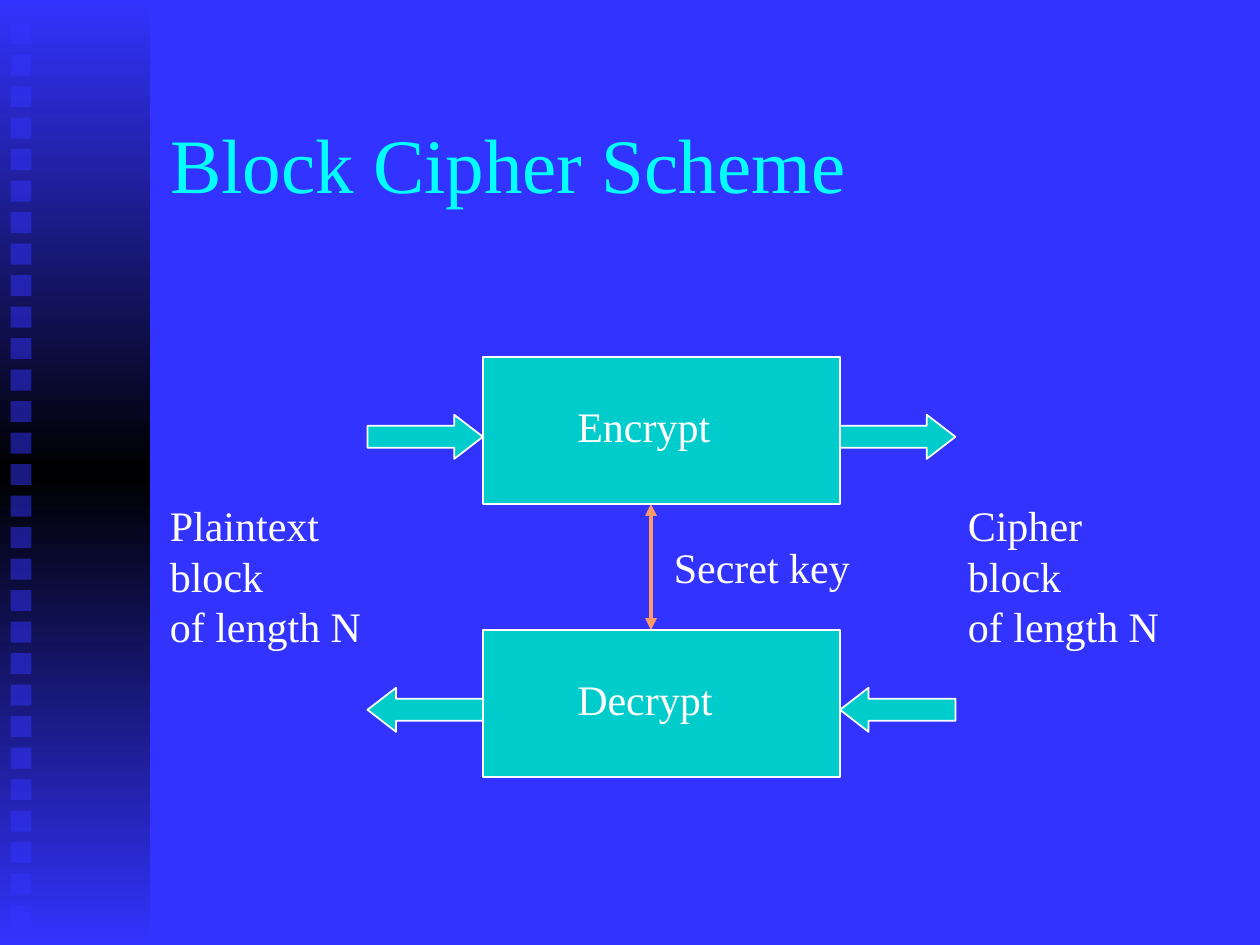
import copy

import pptx
import pptx.dml.color
import pptx.enum.dml
import pptx.enum.shapes
import pptx.enum.text
import pptx.oxml
import pptx.oxml.ns
import pptx.util

PX = 7620  # EMU per px, 120 px to the inch
RGB = pptx.dml.color.RGBColor
BLUE = RGB(0x33, 0x33, 0xFF)
BLACK = RGB(0, 0, 0)
TEAL = RGB(0, 0xCC, 0xCC)
CYAN = RGB(0, 0xFF, 0xFF)
WHITE = RGB(0xFF, 0xFF, 0xFF)
ORANGE = RGB(0xFF, 0x99, 0x66)
FONT = "Times New Roman"
SHAPES = pptx.enum.shapes.MSO_SHAPE
qn = pptx.oxml.ns.qn


def px(*lengths):
    return [length * PX for length in lengths]


def apply(target, formats):
    for name, value in formats.items():
        setattr(target, name, value)


def add_block(page, kind, place, color, outline=None):
    """Add a preset shape, outlined only when a line colour is given."""
    shape = page.shapes.add_shape(kind, *px(*place))
    shape.shadow.inherit = False
    shape.fill.solid()
    shape.fill.fore_color.rgb = color
    if outline is None:
        shape.line.fill.background()
    else:
        shape.line.color.rgb = outline
        shape.line.width = pptx.util.Pt(1)
    return shape


def add_arrow(page, kind, left, top):
    arrow = add_block(page, kind, (left, top, 110, 42), TEAL, WHITE)
    arrow.adjustments[1] = 0.65


def add_label(page, place, *lines):
    box = page.shapes.add_textbox(*px(*place))
    frame = box.text_frame
    apply(frame, {"word_wrap": False,
                  "auto_size": pptx.enum.text.MSO_AUTO_SIZE.SHAPE_TO_FIT_TEXT})
    frame.text = "\n".join(lines)
    for para in frame.paragraphs:
        para.line_spacing = pptx.util.Pt(28.8)
        apply(para.font, {"name": FONT, "size": pptx.util.Pt(24)})
        para.font.color.rgb = WHITE


def add_sidebar(page):
    bar = add_block(page, SHAPES.RECTANGLE, (0, 0, 143, 900), BLUE)
    bar.fill.gradient()
    bar.fill.gradient_angle = 90
    stops = bar.element.spPr.find(".//" + qn("a:gsLst"))
    stops.append(copy.deepcopy(stops[0]))
    for index, color in enumerate((BLUE, BLACK, BLUE)):
        stop = bar.fill.gradient_stops[index]
        stop.position = index / 2
        stop.color.rgb = color

    # Column of half-transparent squares
    for row in range(29):
        square = add_block(page, SHAPES.RECTANGLE, (10, 22 + 30 * row, 20, 20), BLUE)
        color = square.element.spPr.find(".//" + qn("a:srgbClr"))
        color.append(pptx.oxml.parse_xml(
            '<a:alpha %s val="50000"/>' % pptx.oxml.ns.nsdecls("a")))


def add_title(page, text):
    title = page.shapes.title
    apply(title, dict(zip(("left", "top", "width", "height"),
                          px(150, 80, 1020, 150))))
    frame = title.text_frame
    frame.text = text
    apply(frame, {"vertical_anchor": pptx.enum.text.MSO_ANCHOR.MIDDLE,
                  "word_wrap": True,
                  "auto_size": pptx.enum.text.MSO_AUTO_SIZE.NONE})
    para = frame.paragraphs[0]
    para.alignment = pptx.enum.text.PP_ALIGN.LEFT
    apply(para.font, {"name": FONT, "size": pptx.util.Pt(44)})
    para.font.color.rgb = CYAN


def add_stage(page, top, label, label_width, arrow_kind):
    """Add a process box with an arrow on each side."""
    add_block(page, SHAPES.RECTANGLE, (460, top, 340, 140), TEAL, WHITE)
    for left in (350, 800):
        add_arrow(page, arrow_kind, left, top + 55)
    add_label(page, (538, top + 36, label_width, 60), label)


def add_key_line(page):
    line = page.shapes.add_connector(
        pptx.enum.shapes.MSO_CONNECTOR.STRAIGHT, *px(620, 600, 620, 480))
    line.line.color.rgb = ORANGE
    line.line.width = pptx.util.Pt(2.25)
    outline = line.element.spPr.find(qn("a:ln"))
    for end in ("headEnd", "tailEnd"):
        outline.append(pptx.oxml.parse_xml(
            '<a:%s %s type="triangle"/>' % (end, pptx.oxml.ns.nsdecls("a"))))
    line.element.spPr.append(pptx.oxml.parse_xml(
        "<a:effectLst %s/>" % pptx.oxml.ns.nsdecls("a")))


def main():
    deck = pptx.Presentation()
    deck.slide_width, deck.slide_height = px(1200, 900)
    page = deck.slides.add_slide(deck.slide_layouts[5])
    page.background.fill.solid()
    page.background.fill.fore_color.rgb = BLUE

    # Frame of the slide
    add_sidebar(page)
    add_title(page, "Block Cipher Scheme")

    # Cipher diagram
    add_key_line(page)
    add_stage(page, 340, "Encrypt", 151, SHAPES.RIGHT_ARROW)
    add_stage(page, 600, "Decrypt", 154, SHAPES.LEFT_ARROW)
    add_label(page, (630, 510, 192, 60), "Secret key")
    add_label(page, (150, 470, 206, 156), "Plaintext", "block", "of length N")
    add_label(page, (910, 470, 216, 156), "Cipher", "block", "of length N")

    deck.save("out.pptx")


if __name__ == "__main__":
    main()
